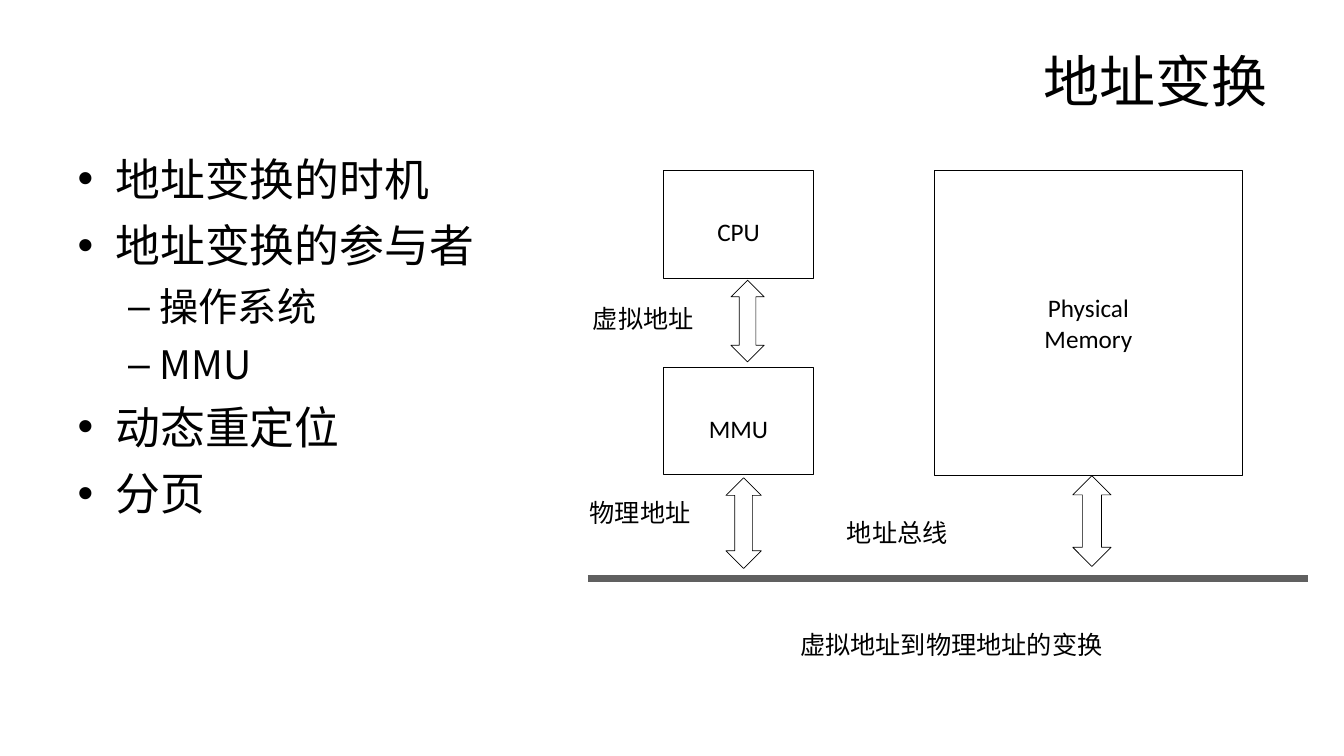
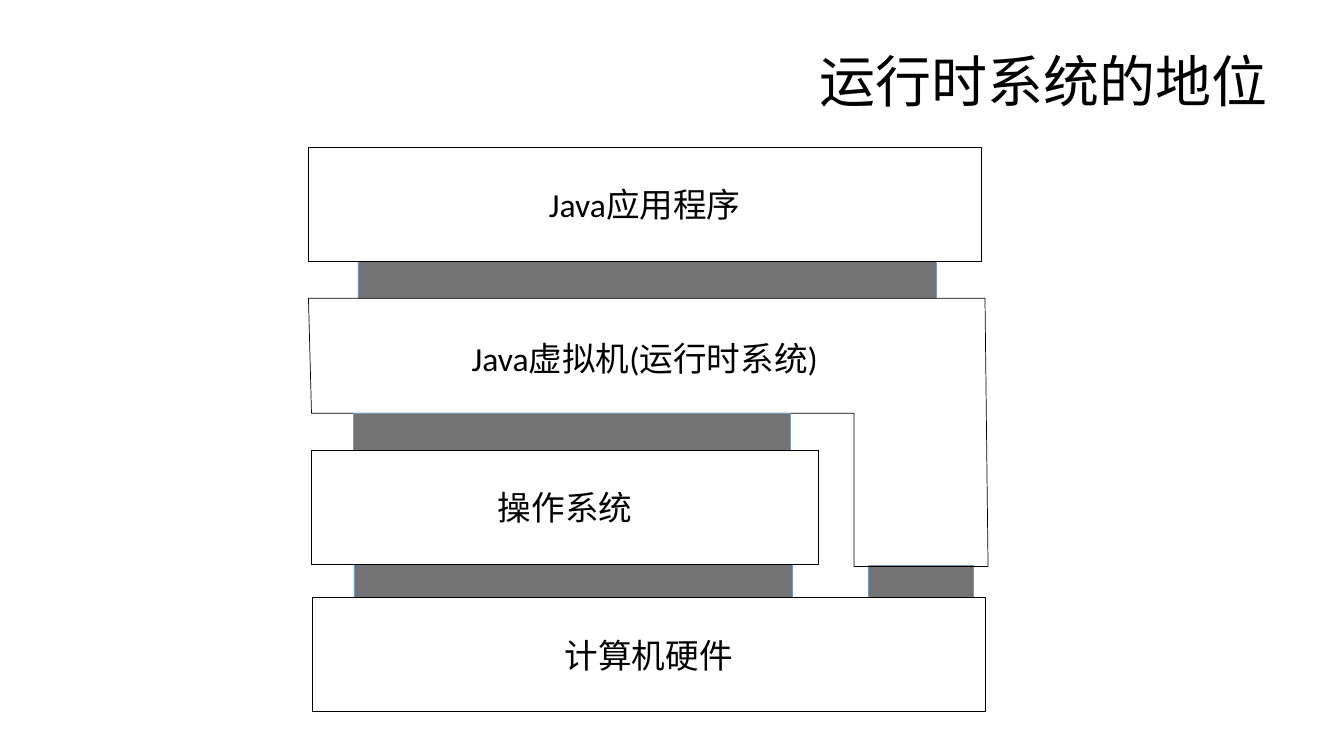
from dataclasses import dataclass

from lxml.etree import SubElement
from pptx import Presentation
from pptx.dml.color import RGBColor
from pptx.enum.shapes import MSO_CONNECTOR, MSO_SHAPE
from pptx.enum.text import MSO_ANCHOR, MSO_AUTO_SIZE, PP_ALIGN
from pptx.oxml.ns import qn
from pptx.util import Inches, Pt

COLORS = {
    "ink": "000000",
    "paper": "FFFFFF",
    "bus": "606060",
    "bridge": "737373",
    "bridge_edge": "7197BD",
}
TITLE_FONT, BODY_FONT, LABEL_FONT = "Arial", "Noto Sans CJK SC", "Calibri"
TITLE_ONLY, TITLE_AND_BODY = 5, 1


@dataclass
class Area:
    left: float
    top: float
    width: float
    height: float

    def emu(self):
        return [Inches(v) for v in (self.left, self.top, self.width, self.height)]


@dataclass
class Box:
    lines: list[str]
    area: Area
    spacing: float = 1.0
    edge: str | None = "ink"


@dataclass
class Bullet:
    text: str
    level: int = 0


def rgb(name: str) -> RGBColor:
    return RGBColor.from_string(COLORS[name])


def add_text(p, text: str, *, size: float, font: str = LABEL_FONT, east_asian: bool = False,
             align=PP_ALIGN.LEFT, spacing: float = 1.0) -> None:
    p.alignment = align
    p.line_spacing = spacing
    p.space_before = Pt(0)
    r = p.add_run()
    r.text = text
    r.font.size = Pt(size)
    r.font.name = font
    r.font.color.rgb = rgb("ink")
    if east_asian:
        SubElement(r.font._element, qn("a:ea"), typeface=font)


def clear_frame(sp):
    """Wrap the text, drop the insets and centre it vertically."""
    tf = sp.text_frame
    tf.word_wrap = True
    tf.vertical_anchor = MSO_ANCHOR.MIDDLE
    tf.margin_left = tf.margin_top = tf.margin_right = tf.margin_bottom = 0
    return tf


def style_shape(sp, fill: str | None, edge: str | None) -> None:
    sp.shadow.inherit = False
    if fill:
        sp.fill.solid()
        sp.fill.fore_color.rgb = rgb(fill)
    else:
        sp.fill.background()
    if edge:
        sp.line.color.rgb = rgb(edge)
        sp.line.width = Pt(0.5)
    else:
        sp.line.fill.background()


def add_shape(s, kind, area: Area, fill: str | None, edge: str | None):
    sp = s.shapes.add_shape(kind, *area.emu())
    style_shape(sp, fill, edge)
    return sp


def add_box(s, box: Box, size: float) -> None:
    sp = add_shape(s, MSO_SHAPE.RECTANGLE, box.area, "paper", box.edge)
    tf = clear_frame(sp)
    for i, line in enumerate(box.lines):
        p = tf.add_paragraph() if i else tf.paragraphs[0]
        add_text(p, line, size=size, align=PP_ALIGN.CENTER, spacing=box.spacing)


def add_bridge(s, area: Area) -> None:
    add_shape(s, MSO_SHAPE.RECTANGLE, area, "bridge", "bridge_edge")


def add_label(s, text: str, area: Area, align=PP_ALIGN.LEFT) -> None:
    tf = clear_frame(s.shapes.add_textbox(*area.emu()))
    add_text(tf.paragraphs[0], text, size=18, align=align)


def place(sp, area: Area) -> None:
    sp.left, sp.top, sp.width, sp.height = area.emu()
    sp.text_frame.auto_size = MSO_AUTO_SIZE.NONE


def add_slide(prs, layout: int, title: str):
    s = prs.slides.add_slide(prs.slide_layouts[layout])
    sp = s.shapes.title
    place(sp, Area(0.67, 0.3, 12, 0.99))
    sp.text_frame.vertical_anchor = MSO_ANCHOR.MIDDLE
    add_text(sp.text_frame.paragraphs[0], title, size=40, font=TITLE_FONT, align=PP_ALIGN.RIGHT)
    return s


def fill_body(sp, bullets: list[Bullet]) -> None:
    place(sp, Area(0.67, 1.29, 5.4, 5.41))
    tf = sp.text_frame
    tf.margin_top = Inches(0.09)
    for i, bullet in enumerate(bullets):
        p = tf.add_paragraph() if i else tf.paragraphs[0]
        p.level = bullet.level
        add_text(p, bullet.text, size=28 if bullet.level else 32, font=BODY_FONT,
                 east_asian=True, spacing=1.23)


def add_bus(s, left: float, right: float, y: float) -> None:
    line = s.shapes.add_connector(MSO_CONNECTOR.STRAIGHT, Inches(left), Inches(y),
                                  Inches(right), Inches(y))
    line.line.color.rgb = rgb("bus")
    line.line.width = Pt(5)
    SubElement(line._element.spPr, qn("a:effectLst"))


def address_slide(prs) -> None:
    s = add_slide(prs, TITLE_AND_BODY, "地址变换")
    fill_body(s.placeholders[1], [
        Bullet("地址变换的时机"),
        Bullet("地址变换的参与者"),
        Bullet("操作系统", 1),
        Bullet("MMU", 1),
        Bullet("动态重定位"),
        Bullet("分页"),
    ])
    for box in (
        Box(["CPU"], Area(6.58, 1.69, 1.49, 1.07), spacing=1.5),
        Box(["MMU"], Area(6.58, 3.64, 1.49, 1.07), spacing=1.5),
        Box(["Physical", "Memory"], Area(9.27, 1.69, 3.05, 3.03)),
    ):
        add_box(s, box, 18)
    add_bus(s, 5.83, 12.97, 5.74)
    for area in (
        Area(7.25, 2.78, 0.33, 0.81),
        Area(7.2, 4.74, 0.35, 0.9),
        Area(10.64, 4.72, 0.38, 0.9),
    ):
        add_shape(s, MSO_SHAPE.UP_DOWN_ARROW, area, None, "ink")
    for text, left, top in (
        ("虚拟地址", 5.88, 2.84),
        ("物理地址", 5.85, 4.76),
        ("地址总线", 8.4, 4.96),
    ):
        add_label(s, text, Area(left, top, 1.56, 0.64))
    add_label(s, "虚拟地址到物理地址的变换", Area(6.31, 6.07, 6.25, 0.64), PP_ALIGN.CENTER)


def add_runtime_outline(s) -> None:
    """Outline the virtual machine, whose right leg reaches the hardware."""
    points = [(3.09, 4.1), (3.06, 2.96), (9.77, 2.96), (9.8, 5.62), (8.47, 5.62), (8.47, 4.1)]
    start, *rest = [(Inches(x), Inches(y)) for x, y in points]
    builder = s.shapes.build_freeform(*start)
    builder.add_line_segments(rest, close=True)
    style_shape(builder.convert_to_shape(), None, "ink")


def runtime_slide(prs) -> None:
    s = add_slide(prs, TITLE_ONLY, "运行时系统的地位")
    for left, top, width in ((8.61, 5.61, 1.04), (3.51, 5.59, 4.35), (3.55, 2.59, 5.74)):
        add_bridge(s, Area(left, top, width, 0.39))
    for box in (
        Box(["计算机硬件"], Area(3.1, 5.93, 6.67, 1.13)),
        Box(["Java应用程序"], Area(3.06, 1.46, 6.67, 1.13)),
        Box(["Java虚拟机(运行时系统)"], Area(3.06, 2.96, 6.67, 1.18), edge=None),
    ):
        add_box(s, box, 24)
    add_runtime_outline(s)
    add_bridge(s, Area(3.51, 4.1, 4.33, 0.39))
    add_box(s, Box(["操作系统"], Area(3.09, 4.47, 5.03, 1.13)), 24)


def main() -> None:
    prs = Presentation()
    prs.slide_width, prs.slide_height = Inches(13.33), Inches(7.5)
    address_slide(prs)
    runtime_slide(prs)
    prs.save("out.pptx")


if __name__ == "__main__":
    main()
